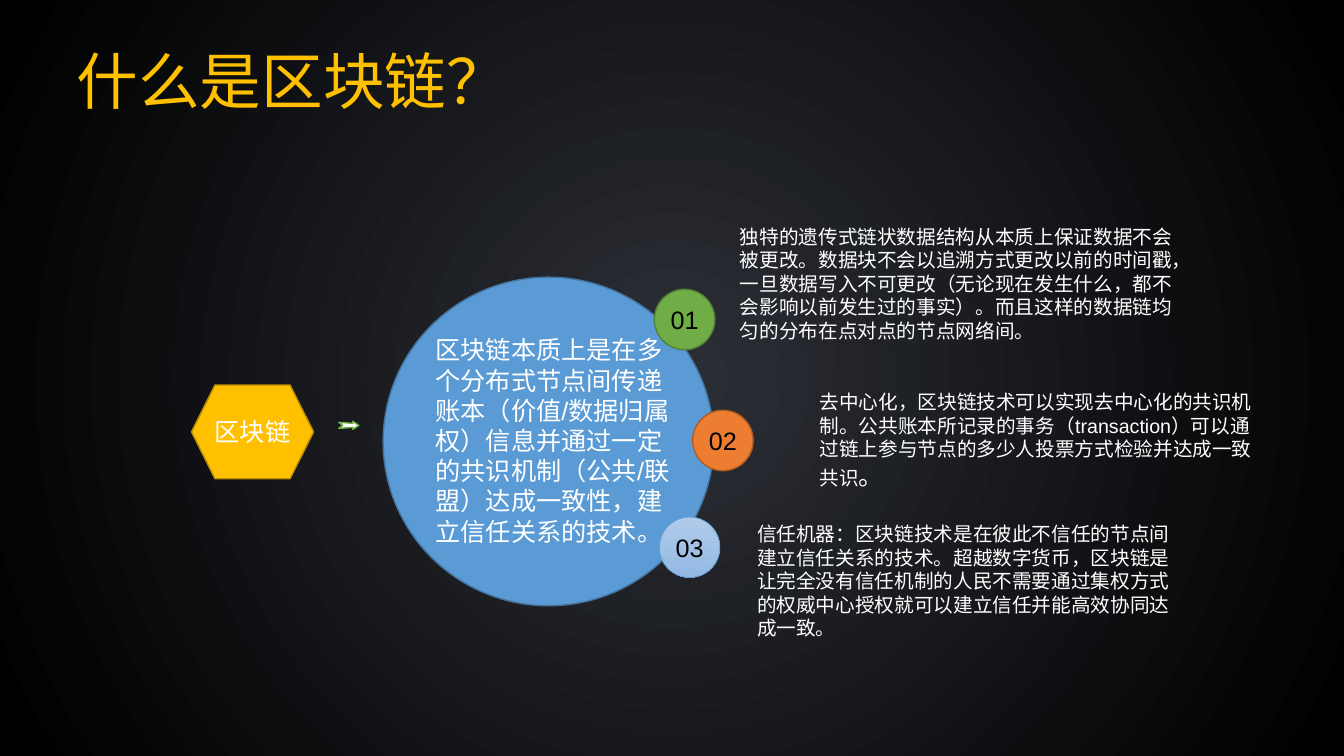
from dataclasses import dataclass

from lxml import etree
from pptx import Presentation
from pptx.dml.color import RGBColor
from pptx.enum.shapes import MSO_SHAPE
from pptx.enum.text import MSO_ANCHOR, MSO_AUTO_SIZE, PP_ALIGN
from pptx.oxml.ns import qn
from pptx.util import Inches, Pt

OVAL, HEXAGON = MSO_SHAPE.OVAL, MSO_SHAPE.HEXAGON
TOP, MIDDLE = MSO_ANCHOR.TOP, MSO_ANCHOR.MIDDLE
LEFT, CENTER = PP_ALIGN.LEFT, PP_ALIGN.CENTER
GROW = MSO_AUTO_SIZE.SHAPE_TO_FIT_TEXT


@dataclass(frozen=True)
class Theme:
    heading_font: str = "Manrope"
    body_font: str = "Arial"
    heading: int = 44
    label: int = 18
    detail: int = 14
    white: str = "FFFFFF"
    black: str = "000000"
    glow: str = "2C2F36"
    gold: str = "FFC000"
    gold_edge: str = "BD8E00"
    blue: str = "5B9BD5"
    blue_edge: str = "43739E"
    green: str = "70AD47"
    green_edge: str = "538035"
    orange: str = "ED7D31"
    orange_edge: str = "AF5C24"
    pale_top: str = "B1CBE9"
    pale_bottom: str = "93B9E4"


theme = Theme()


def write(box, spans, align=LEFT, anchor=TOP, wrap=True, font=theme.body_font):
    """Fill one paragraph with spans of (text, size, colour)."""
    frame = box.text_frame
    frame.word_wrap = wrap
    frame.vertical_anchor = anchor
    para = frame.paragraphs[0]
    para.alignment = align
    for text, size, colour in spans:
        span = para.add_run()
        span.text = text
        span.font.name = font
        span.font.size = Pt(size)
        span.font.color.rgb = RGBColor.from_string(colour)


def paint(shape, fills, edge, width=1):
    """Give a shape a solid fill, or a top-to-bottom gradient of two colours."""
    shape.shadow.inherit = False
    if len(fills) == 1:
        shape.fill.solid()
        shape.fill.fore_color.rgb = RGBColor.from_string(fills[0])
    else:
        shape.fill.gradient()
        shape.fill.gradient_angle = 270
        for stop, colour in zip(shape.fill.gradient_stops, fills):
            stop.color.rgb = RGBColor.from_string(colour)
    shape.line.color.rgb = RGBColor.from_string(edge)
    shape.line.width = Pt(width)


deck = Presentation()
deck.slide_width, deck.slide_height = Inches(13.33), Inches(7.5)
page = deck.slides.add_slide(deck.slide_layouts[5])
shapes = page.shapes

# Background: a glow fading from the centre of the page
backdrop = page.background.fill
backdrop.gradient()
for stop, colour, position in zip(
    backdrop.gradient_stops, (theme.glow, theme.black), (0, 0.97)
):
    stop.color.rgb = RGBColor.from_string(colour)
    stop.position = position
gradient = page.element.find(".//" + qn("a:gradFill"))
gradient.remove(gradient.find(qn("a:lin")))
radial = etree.SubElement(gradient, qn("a:path"), {"path": "circle"})
etree.SubElement(radial, qn("a:fillToRect"), {side: "50000" for side in "ltrb"})

# Title
title = shapes.title
title.left, title.top = Inches(0.66), Inches(0.38)
title.width, title.height = Inches(4.48), Inches(0.84)
write(title, [("什么是区块链？", theme.heading, theme.gold)],
      wrap=False, font=theme.heading_font)
title.text_frame.auto_size = GROW

# Definition circle
circle = shapes.add_shape(OVAL, Inches(3.8), Inches(2.75), Inches(3.28), Inches(3.26))
paint(circle, [theme.blue], theme.blue_edge)
definition = shapes.add_textbox(Inches(4.22), Inches(3.27), Inches(2.69), Inches(2.22))
write(definition, [(
    "区块链本质上是在多个分布式节点间传递账本（价值/数据归属权）信息并通过一定的"
    "共识机制（公共/联盟）达成一致性，建立信任关系的技术。",
    theme.label, theme.white)])

# Topic and the arrow that leads to its definition
topic = shapes.add_shape(HEXAGON, Inches(1.9), Inches(3.82), Inches(1.21), Inches(0.93))
paint(topic, [theme.gold], theme.gold_edge)
write(topic, [("区块链", theme.label, theme.white)], CENTER, MIDDLE, wrap=False)

arrow_points = [(3.5, 4.18), (3.56, 4.22), (3.5, 4.26), (3.5, 4.24),
                (3.36, 4.25), (3.4, 4.22), (3.36, 4.19), (3.5, 4.2)]
corners = [(Inches(x), Inches(y)) for x, y in arrow_points]
outline = shapes.build_freeform(*corners[0])
outline.add_line_segments(corners[1:], close=True)
paint(outline.convert_to_shape(), [theme.white], theme.green)

# Numbered features: badge place, fills, edge, edge width, text place, spans
features = [
    ((6.49, 2.87), [theme.green], theme.green_edge, 1, (7.24, 2.18, 4.67, 1.28), [
        ("独特的遗传式链状数据结构从本质上保证数据不会被更改。数据块不会以追溯方式"
         "更改以前的时间戳，一旦数据写入不可更改（无论现在发生什么，都不会影响以前"
         "发生过的事实）。而且这样的数据链均匀的分布在点对点的节点网络间。",
         theme.detail, theme.white)]),
    ((6.87, 4.07), [theme.orange], theme.orange_edge, 1, (8.03, 3.82, 4.52, 1.11), [
        ("去中心化，区块链技术可以实现去中心化的共识机制。公共账本所记录的事务"
         "（transaction）可以通过链上参与节点的多少人投票方式检验并达成一致共识",
         theme.detail, theme.white),
        ("。", theme.label, theme.white)]),
    ((6.54, 5.13), [theme.pale_top, theme.pale_bottom], theme.blue, 0.5,
     (7.41, 5.13, 4.35, 1.28), [
        ("信任机器：区块链技术是在彼此不信任的节点间建立信任关系的技术。超越数字"
         "货币，区块链是让完全没有信任机制的人民不需要通过集权方式的权威中心授权"
         "就可以建立信任并能高效协同达成一致。",
         theme.detail, theme.white)]),
]
for number, (place, fills, edge, width, area, spans) in enumerate(features, 1):
    badge = shapes.add_shape(OVAL, *map(Inches, place), Inches(0.6), Inches(0.6))
    paint(badge, fills, edge, width)
    write(badge, [(f"{number:02}", theme.label, theme.black)], CENTER, MIDDLE, wrap=False)
    write(shapes.add_textbox(*map(Inches, area)), spans)

deck.save("out.pptx")
